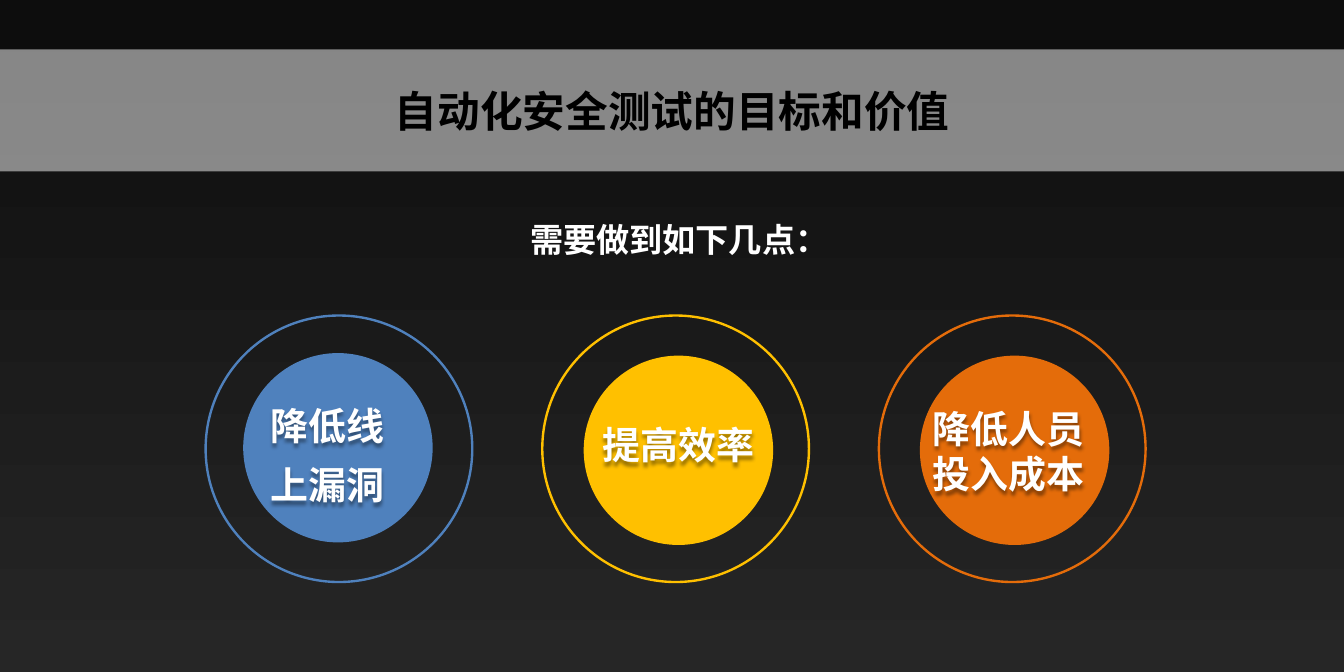
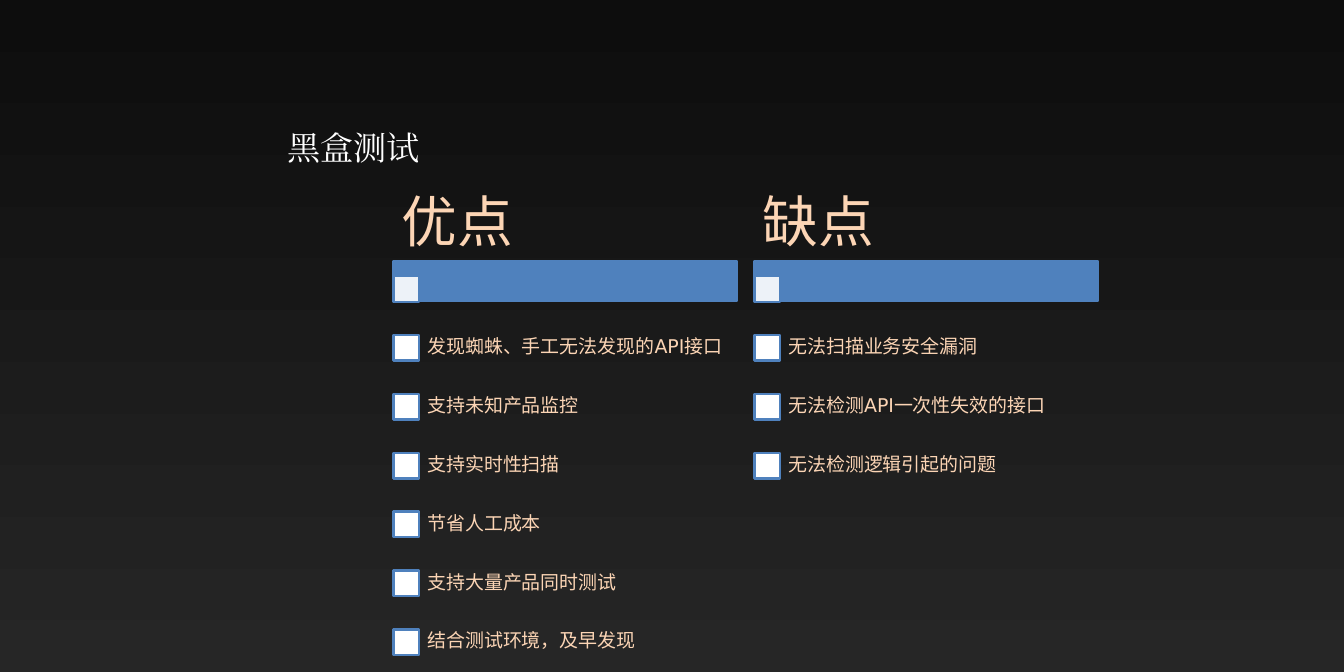
from lxml.etree import SubElement
from pptx import Presentation
from pptx.dml.color import RGBColor
from pptx.enum.shapes import MSO_SHAPE
from pptx.enum.text import MSO_ANCHOR, MSO_AUTO_SIZE, PP_ALIGN
from pptx.oxml.ns import qn
from pptx.util import Inches, Pt

WIDE, HIGH = 63, 31.52
CELL = 0.25
BLUE, GOLD, RUST = "4F81BD", "FFC000", "E46C0A"
WHITE, BLACK, PEACH = "FFFFFF", "000000", "FCD5B5"
TOP, BASE = "0D0D0D", "262626"
NOTO, DEJA, SERIF = "Noto Sans CJK SC", "DejaVu Sans", "Cambria"

RING, DISC, STEP = 12.5, 8.88, 15.78
GOALS = [
    (BLUE, (1.76, 1.76), (2.32, 2.92, 9.48, 6.64), ["降低线", "上漏洞"], NOTO, 1.3),
    (GOLD, (1.94, 1.88), (2.3, 4.64, 9.68, 2.84), ["提高效率"], DEJA, None),
    (RUST, (1.92, 1.88), (1.88, 3.76, 9.08, 5.2), ["降低人员投入成本"], DEJA, None),
]

ROW, BOX, INDENT, SPAN = 2.76, 1.2, 1.12, 16.12
SIDES = [
    (18.44, "优点", [
        "发现蜘蛛、手工无法发现的API接口", "支持未知产品监控", "支持实时性扫描",
        "节省人工成本", "支持大量产品同时测试", "结合测试环境，及早发现"]),
    (35.36, "缺点", [
        "无法扫描业务安全漏洞", "无法检测API一次性失效的接口", "无法检测逻辑引起的问题"]),
]


def grid(*cells):
    """Turn grid cells into slide lengths."""
    return [Inches(cell * CELL) for cell in cells]


def color(code):
    """Turn a hex string into a colour."""
    return RGBColor.from_string(code)


def shape(slide, kind, area, fill=None, line=None, alpha=None):
    """Draw a flat preset shape."""
    item = slide.shapes.add_shape(kind, *grid(*area))
    item.shadow.inherit = False
    if fill:
        item.fill.solid()
        item.fill.fore_color.rgb = color(fill)
    else:
        item.fill.background()
    if line:
        item.line.color.rgb = color(line)
        item.line.width = Pt(2)
    else:
        item.line.fill.background()
    if alpha:
        tint = item.fill._xPr.find(qn("a:solidFill"))[0]
        SubElement(tint, qn("a:alpha"), val=str(alpha * 1000))
    return item


def write(item, lines, size, font, ink, bold=False, align=PP_ALIGN.LEFT,
          space=None, anchor=MSO_ANCHOR.TOP, inset=None, wrap=True, grow=False):
    """Fill a shape or text box with styled paragraphs."""
    frame = item.text_frame
    frame.text = "\n".join(lines)
    frame.word_wrap = wrap
    frame.vertical_anchor = anchor
    if grow:
        frame.auto_size = MSO_AUTO_SIZE.SHAPE_TO_FIT_TEXT
    if inset:
        frame.margin_left = frame.margin_right = Inches(inset[0])
        frame.margin_top = frame.margin_bottom = Inches(inset[1])
    for para in frame.paragraphs:
        para.alignment = align
        para.line_spacing = space
        para.font.size = Pt(size)
        para.font.bold = bold
        para.font.color.rgb = color(ink)
        para.font.name = font
        SubElement(para.font._element, qn("a:ea"), typeface=font)


def glow(item):
    """Cast a soft shadow under the text of an unfilled shape."""
    effects = item._element.spPr.find(qn("a:effectLst"))
    cast = SubElement(effects, qn("a:outerShdw"), blurRad="38100",
                      dist="38100", dir="5400000", algn="t")
    tint = SubElement(cast, qn("a:srgbClr"), val=BLACK)
    SubElement(tint, qn("a:alpha"), val="40000")


def text(slide, area, line, size, font, ink, **style):
    """Add a text box with one line."""
    box = slide.shapes.add_textbox(*grid(*area))
    write(box, [line], size, font, ink, **style)


def goal(slide, left, top, ink, shift, area, lines, font, space):
    """Draw a ringed disc with its label."""
    shape(slide, MSO_SHAPE.OVAL, (left, top, RING, RING), line=ink)
    shape(slide, MSO_SHAPE.OVAL, (left + shift[0], top + shift[1], DISC, DISC), ink)
    x, y, wide, high = area
    label = shape(slide, MSO_SHAPE.ROUNDED_RECTANGLE, (left + x, top + y, wide, high))
    write(label, lines, 32, font, WHITE, bold=True, space=space, grow=True)
    glow(label)


def check(slide, left, top, alpha=None):
    """Draw a square check box."""
    shape(slide, MSO_SHAPE.RECTANGLE, (left, top, BOX, BOX), WHITE, BLUE, alpha)


def side(slide, left, head, items):
    """Draw a headed list of check boxes."""
    first = 15.72
    shape(slide, MSO_SHAPE.RECTANGLE, (left, 12.24, SPAN, 1.88), BLUE, BLUE)
    check(slide, left, first - ROW, 90)
    text(slide, (left, 8.84, SPAN, 3.4), head, 47, DEJA, PEACH,
         space=0.9, anchor=MSO_ANCHOR.MIDDLE, inset=(0.1, 0.07))
    for index, item in enumerate(items):
        top = first + index * ROW
        check(slide, left, top)
        text(slide, (left + INDENT, top - 0.8, SPAN - INDENT, ROW), item, 16, DEJA,
             PEACH, space=0.9, anchor=MSO_ANCHOR.MIDDLE, inset=(0.12, 0.12))


def shade(deck):
    """Give all slides the dark gradient through the master."""
    fill = deck.slide_master.background.fill
    fill.gradient()
    fill.gradient_angle = 270
    for stop, code in zip(fill.gradient_stops, (TOP, BASE)):
        stop.color.rgb = color(code)


def goals(slide):
    """Build the slide of goals."""
    lead = shape(slide, MSO_SHAPE.ROUNDED_RECTANGLE, (21.52, 8.56, 20.64, 4.08))
    lead.adjustments[0] = 0.5
    write(lead, ["需要做到如下几点："], 28, NOTO, WHITE, bold=True,
          align=PP_ALIGN.CENTER, space=1.5, grow=True)
    for index, entry in enumerate(GOALS):
        goal(slide, 9.64 + index * STEP, 14.8, *entry)
    band = shape(slide, MSO_SHAPE.RECTANGLE, (0, 2.32, WIDE, 5.72), WHITE, alpha=50)
    write(band, ["自动化安全测试的目标和价值"], 36, NOTO, BLACK, bold=True,
          align=PP_ALIGN.CENTER, anchor=MSO_ANCHOR.MIDDLE)


def sides(slide):
    """Build the slide of pros and cons."""
    text(slide, (13.08, 5.76, 7.08, 2.28), "黑盒测试", 28, SERIF, WHITE,
         wrap=False, grow=True)
    for entry in SIDES:
        side(slide, *entry)


def main():
    """Build and save the deck."""
    deck = Presentation()
    deck.slide_width, deck.slide_height = grid(WIDE, HIGH)
    shade(deck)
    for build in (goals, sides):
        build(deck.slides.add_slide(deck.slide_layouts[6]))
    deck.save("out.pptx")


if __name__ == "__main__":
    main()
